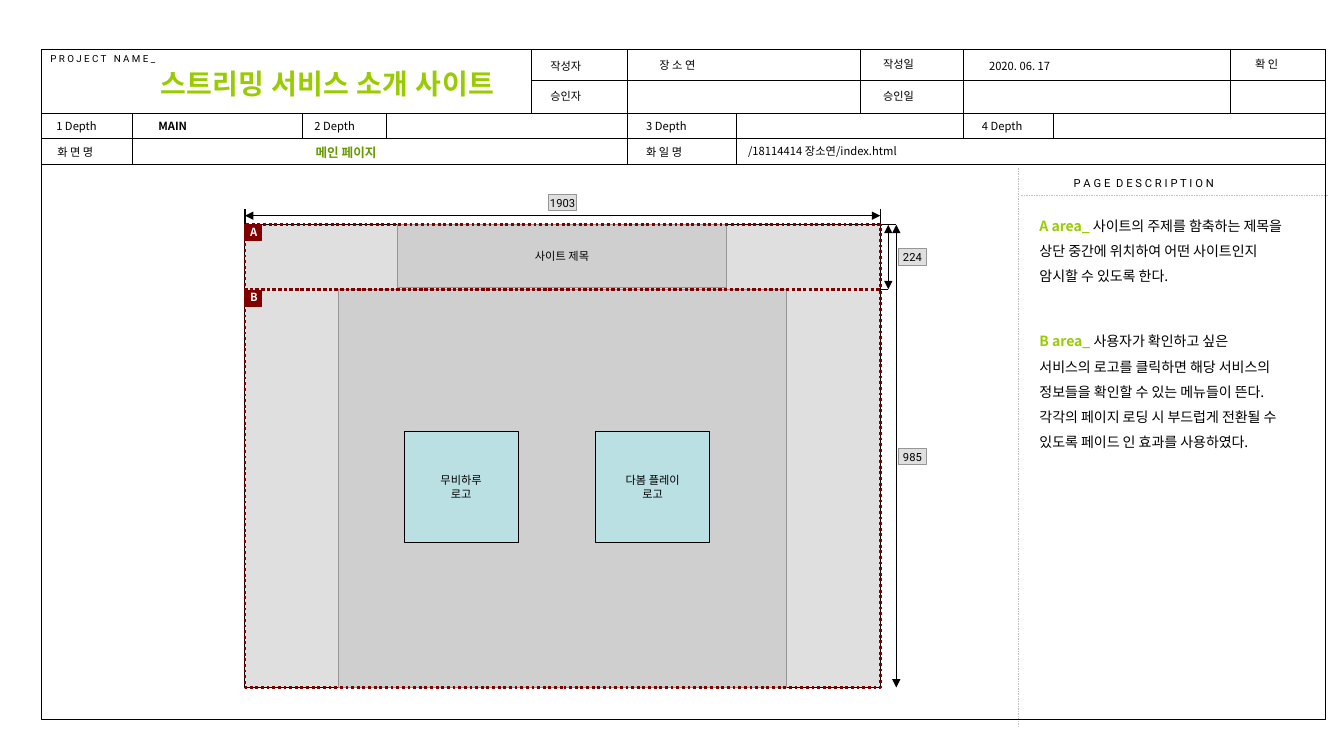
from lxml import etree
from pptx import Presentation
from pptx.dml.color import RGBColor
from pptx.enum.dml import MSO_LINE as DASH
from pptx.enum.shapes import MSO_CONNECTOR as CONNECTOR, MSO_SHAPE as SHAPE
from pptx.enum.text import MSO_ANCHOR as ANCHOR, MSO_AUTO_SIZE as AUTO, PP_ALIGN as ALIGN
from pptx.oxml.ns import qn
from pptx.util import Inches, Pt

KOREAN, LATIN = "Noto Sans CJK KR", "Roboto"
BLACK, WHITE, GRAY, EDGE = "000000", "FFFFFF", "C0C0C0", "969696"
LIME, GREEN, MAROON, AQUA = "99CC00", "669900", "800000", "BBE0E3"
SMALL = {"size": Pt(8), "name": KOREAN}
BOLD = {**SMALL, "bold": True}
ROBOTO = {"size": Pt(8), "name": LATIN}

prs = Presentation()
prs.slide_width, prs.slide_height = Inches(13.33), Inches(7.5)
slide = prs.slides.add_slide(prs.slide_layouts[5])
shapes = slide.shapes


def write(paragraph, runs):
    """Add runs given as (text, font values, colour, extra letter spacing in 1/100 pt)."""
    for text, values, color, spacing in runs:
        run = paragraph.add_run()
        run.text = text
        for key, value in values.items():
            setattr(run.font, key, value)
        run.font.color.rgb = RGBColor.from_string(color)
        properties = run._r.get_or_add_rPr()
        etree.SubElement(properties, qn("a:ea"), typeface=KOREAN)
        if spacing:
            properties.set("spc", str(spacing))


def set_frame(shape, margins, wrap, anchor):
    frame = shape.text_frame
    frame.margin_left = frame.margin_right = Inches(margins[0])
    frame.margin_top = frame.margin_bottom = Inches(margins[1])
    frame.word_wrap, frame.vertical_anchor = wrap, anchor
    frame.auto_size = AUTO.NONE
    return frame


# Project title
title = shapes.title
title.left, title.top, title.width, title.height = map(Inches, (1.48, 0.6, 4.1, 0.45))
heading = set_frame(title, (0.11, 0.06), True, ANCHOR.TOP).paragraphs[0]
heading.alignment = ALIGN.LEFT
write(heading, [("스트리밍 서비스 소개 사이트", {**BOLD, "size": Pt(20)}, LIME, 25)])

# Header grid, page description rules and dimension lines
LEFT, TOP, RIGHT = 0.41, 0.49, 13.15
ROW_2, ROW_3, ROW_4, ROW_5 = 0.8, 1.12, 1.37, 1.63
grid = [
    (5.28, ROW_2, RIGHT, ROW_2, 0.5),
    *[(LEFT, y, RIGHT, y, 0.5) for y in (ROW_3, ROW_4, ROW_5)],
    (5.27, TOP, 5.27, ROW_3, 0.5),
    *[(x, TOP, x, bottom, 0.75) for x, bottom in
      ((6.22, ROW_5), (8.53, ROW_3), (9.56, ROW_4), (12.2, ROW_3))],
    *[(x, ROW_3, x, bottom, 0.75) for x, bottom in
      ((1.31, ROW_5), (3, ROW_4), (3.83, ROW_4), (7.3, ROW_5), (10.45, ROW_4))],
]
description_rules = [(10.1, 1.67, 10.1, 7.22, 0.25), (10.13, 1.94, 13.18, 1.94, 0.25)]

PAGE_LEFT, PAGE_TOP, PAGE_WIDTH, PAGE_HEIGHT = 2.43, 2.23, 6.3, 4.59
PAGE_RIGHT, PAGE_BOTTOM = PAGE_LEFT + PAGE_WIDTH, PAGE_TOP + PAGE_HEIGHT
BODY_TOP = 2.87
extensions = [
    (PAGE_RIGHT, PAGE_TOP, 8.89, PAGE_TOP, 0.75),
    (PAGE_RIGHT, BODY_TOP, 8.81, BODY_TOP, 0.75),
    *[(x, PAGE_TOP, x, 2.07, 0.75) for x in (PAGE_LEFT, PAGE_RIGHT)],
]
dimensions = [
    (8.89, PAGE_TOP, 8.89, PAGE_BOTTOM, 0.75),
    (8.81, PAGE_TOP, 8.81, BODY_TOP, 0.75),
    (PAGE_LEFT, 2.14, PAGE_RIGHT, 2.14, 0.75),
]
for lines, color, dash, arrows in (
    (grid, BLACK, None, ()),
    (description_rules, GRAY, DASH.DASH, ()),
    (extensions, BLACK, None, ()),
    (dimensions, BLACK, None, ("a:headEnd", "a:tailEnd")),
):
    for x1, y1, x2, y2, weight in lines:
        rule = shapes.add_connector(CONNECTOR.STRAIGHT, *map(Inches, (x1, y1, x2, y2)))
        rule.line.width = Pt(weight)
        rule.line.color.rgb = RGBColor.from_string(color)
        if dash:
            rule.line.dash_style = dash
        outline = rule._element.spPr.find(qn("a:ln"))
        for arrow in arrows:
            etree.SubElement(outline, qn(arrow), type="triangle")
        etree.SubElement(rule._element.spPr, qn("a:effectLst"))

# Boxes: left, top, width, height, fill, line colour, line width, lines of text
BODY_HEIGHT = PAGE_BOTTOM - BODY_TOP
boxes = [
    (LEFT, TOP, 12.74, 6.65, None, BLACK, 1, []),
    (PAGE_LEFT, PAGE_TOP, PAGE_WIDTH, PAGE_HEIGHT, GRAY, BLACK, 0.75, []),
    (3.94, 2.23, 3.27, 0.62, GRAY, EDGE, 0.75, ["사이트 제목"]),
    (3.36, BODY_TOP, 4.44, BODY_HEIGHT, GRAY, EDGE, 0.75, []),
    (PAGE_LEFT, PAGE_TOP, PAGE_WIDTH, BODY_TOP - PAGE_TOP, None, MAROON, 2, []),
    (PAGE_LEFT, BODY_TOP, PAGE_WIDTH, BODY_HEIGHT, None, MAROON, 2, []),
    *[(PAGE_LEFT, y, 0.16, 0.16, MAROON, MAROON, 0.75, []) for y in (PAGE_TOP, 2.88)],
    *[(x, y, 0.28, 0.16, GRAY, EDGE, 0.75, [size])
      for x, y, size in ((8.91, 2.47, "224"), (8.91, 4.45, "985"), (5.44, 1.93, "1903"))],
    *[(x, 4.28, 1.13, 1.1, AQUA, BLACK, 0.75, [service, "로고"])
      for x, service in ((4.01, "무비하루"), (5.91, "다봄 플레이"))],
]
for left, top, width, height, fill, edge, weight, texts in boxes:
    box = shapes.add_shape(SHAPE.RECTANGLE, *map(Inches, (left, top, width, height)))
    box.shadow.inherit = False
    box.line.width = Pt(weight)
    box.line.color.rgb = RGBColor.from_string(edge)
    if weight == 2:
        box.line.dash_style = DASH.ROUND_DOT
    if fill:
        box.fill.solid()
        box.fill.fore_color.rgb = RGBColor.from_string(fill)
    else:
        box.fill.background()
    if fill == GRAY:
        shade = box._element.spPr.find(qn("a:solidFill"))[0]
        etree.SubElement(shade, qn("a:alpha"), val="50000")
    frame = set_frame(box, (0, 0), False, ANCHOR.MIDDLE)
    for index, text in enumerate(texts):
        paragraph = frame.add_paragraph() if index else frame.paragraphs[0]
        paragraph.alignment = ALIGN.CENTER
        write(paragraph, [(text, ROBOTO, BLACK, 0)])

# Field names of the header
for left, top, width, text in (
    (0.46, 1.13, 0.61, "1 Depth"), (3.02, 1.13, 0.61, "2 Depth"),
    (6.31, 1.13, 0.61, "3 Depth"), (9.64, 1.13, 0.61, "4 Depth"),
    (0.47, 1.39, 0.61, "화 면 명"), (6.31, 1.39, 0.61, "화 일 명"),
    (5.36, 0.54, 0.54, "작성자"), (5.36, 0.84, 0.54, "승인자"),
    (8.66, 0.52, 0.54, "작성일"), (8.66, 0.84, 0.54, "승인일"),
    (12.35, 0.52, 0.46, "확 인"),
):
    field = shapes.add_textbox(*map(Inches, (left, top, width, 0.24)))
    frame = set_frame(field, (0.1, 0.05), False, ANCHOR.TOP)
    write(frame.paragraphs[0], [(text, SMALL, BLACK, 0)])

# Spaced captions, header values, area letters and area descriptions
CAPTION, VALUE = (0.1, 0.05), (0.11, 0.06)
TINY = {**ROBOTO, "size": Pt(7)}
BODY = {**SMALL, "size": Pt(10)}
LEAD = {**BODY, "bold": True}
for left, top, width, height, margins, spacing, runs in (
    (0.4, 0.47, 2.41, 0.22, CAPTION, 1, [
        ("P R O J E C T", TINY, BLACK, 0), (" ", TINY, BLACK, 350),
        ("N A M E _", TINY, BLACK, 0)]),
    (10.55, 1.7, 2.15, 0.23, CAPTION, 1, [
        ("P A G E", ROBOTO, BLACK, 0), (" ", ROBOTO, BLACK, 200),
        ("D E S C R I P T I O N", ROBOTO, BLACK, 0)]),
    (6.43, 0.52, 1.5, 0.24, VALUE, 1, [("장 소 연", SMALL, BLACK, 0)]),
    (9.7, 0.53, 1.5, 0.24, VALUE, 1, [("2020. 06. 17", SMALL, BLACK, 0)]),
    (1.46, 1.12, 1.02, 0.24, VALUE, 1, [("MAIN", BOLD, BLACK, 0)]),
    (3.02, 1.38, 1.02, 0.26, VALUE, 1, [("메인 페이지", {**BOLD, "size": Pt(9)}, GREEN, 0)]),
    (7.31, 1.37, 1.97, 0.25, VALUE, 1, [("/18114414 장소연/index.html", SMALL, BLACK, 0)]),
    (2.37, 2.18, 0.24, 0.24, VALUE, 1, [("A", BOLD, WHITE, 0)]),
    (2.37, 2.82, 0.47, 0.24, VALUE, 1, [("B", BOLD, WHITE, 0)]),
    (10.2, 2.01, 2.63, 0.83, VALUE, 1.5, [
        ("A area_ ", LEAD, LIME, 0),
        ("사이트의 주제를 함축하는 제목을 상단 중간에 위치하여 어떤 "
         "사이트인지 암시할 수 있도록 한다.", BODY, BLACK, 0)]),
    (10.2, 3.16, 2.63, 1.59, VALUE, 1.5, [
        ("B area_ ", LEAD, LIME, 0),
        ("사용자가 확인하고 싶은 서비스의 로고를 클릭하면 해당 서비스의 "
         "정보들을 확인할 수 있는 메뉴들이 뜬다. 각각의 페이지 로딩 시 부드럽게 "
         "전환될 수 있도록 페이드 인 효과를 사용하였다.", BODY, BLACK, 0)]),
):
    note = shapes.add_textbox(*map(Inches, (left, top, width, height)))
    paragraph = set_frame(note, margins, True, ANCHOR.TOP).paragraphs[0]
    paragraph.line_spacing = spacing
    write(paragraph, runs)

prs.save("out.pptx")
